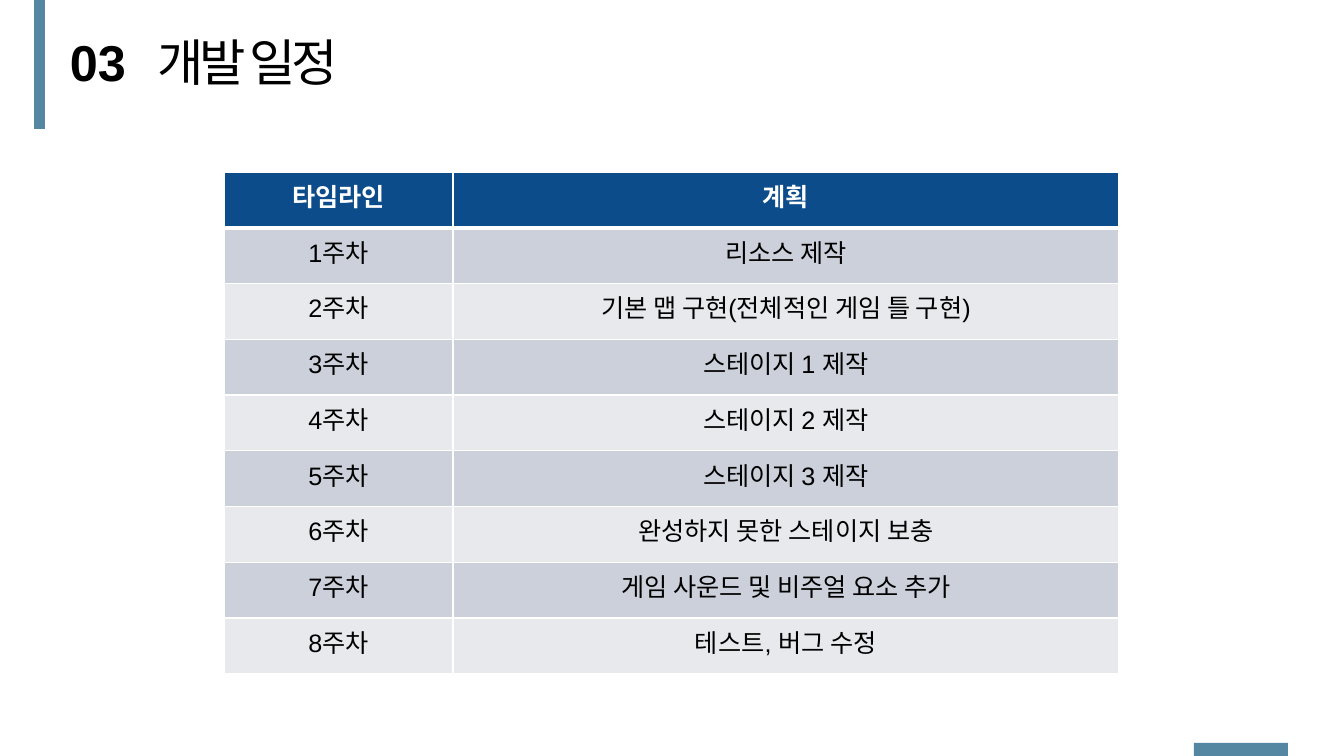
from pptx import Presentation
from pptx.dml.color import RGBColor
from pptx.enum.shapes import MSO_SHAPE
from pptx.enum.text import MSO_AUTO_SIZE, PP_ALIGN
from pptx.oxml.ns import qn
from pptx.util import Pt
from lxml import etree

RECT = MSO_SHAPE.RECTANGLE
CENTER = PP_ALIGN.CENTER
FIT = MSO_AUTO_SIZE.SHAPE_TO_FIT_TEXT
PX = 12192000 / 1344
COLORS = {"accent": "5587A2", "header": "0C4C8A", "odd": "CCD0DA",
          "even": "E7E9ED", "white": "FFFFFF", "black": "000000"}


def box(*lengths):
    return [round(v * PX) for v in lengths]


def add_run(p, text, color, **font):
    r = p.add_run()
    r.text = text
    r.font.color.rgb = RGBColor.from_string(COLORS[color])
    for name, value in {"name": "Arial", **font}.items():
        setattr(r.font, name, value)
    return r


prs = Presentation()
prs.slide_width, prs.slide_height = box(1344, 756)
s = prs.slides.add_slide(prs.slide_layouts[6])

# Accent bars
for bar in [(34, 0, 11, 129), (1194, 743, 94, 13)]:
    sp = s.shapes.add_shape(RECT, *box(*bar))
    sp.shadow.inherit = False
    sp.fill.solid()
    sp.fill.fore_color.rgb = RGBColor.from_string(COLORS["accent"])
    sp.line.fill.background()

# Section number and title
for text, left, width, bold, spacing in [("03", 60, 77, True, 0),
                                         ("개발 일정", 148, 217, False, -300)]:
    tf = s.shapes.add_textbox(*box(left, 26, width, 72)).text_frame
    tf.word_wrap = False
    tf.auto_size = FIT
    r = add_run(tf.paragraphs[0], text, "black", size=Pt(36), bold=bold)
    if spacing:
        r.font._element.set("spc", str(spacing))

# Schedule table
plans = ["리소스 제작", "기본 맵 구현(전체적인 게임 틀 구현)",
         *[f"스테이지 {n} 제작" for n in range(1, 4)],
         "완성하지 못한 스테이지 보충", "게임 사운드 및 비주얼 요소 추가",
         "테스트, 버그 수정"]
rows = [("타임라인", "계획")]
rows += [(f"{week}주차", plan) for week, plan in enumerate(plans, 1)]
table_height = 502
table = s.shapes.add_table(len(rows), 2, *box(224, 172, 895, table_height)).table
for column, width in zip(table.columns, box(229, 666)):
    column.width = width
for row in table.rows:
    row.height = round(table_height / len(rows) * PX)

for i, row in enumerate(rows):
    header = i == 0
    fill = "header" if header else "odd" if i % 2 else "even"
    for j, text in enumerate(row):
        cell = table.cell(i, j)
        p = cell.text_frame.paragraphs[0]
        p.alignment = CENTER
        add_run(p, text, "white" if header else "black", size=Pt(18), bold=header)

        # Borders come before the fill in the cell properties
        tc_pr = cell._tc.get_or_add_tcPr()
        for side in ("lnL", "lnR", "lnT", "lnB"):
            thick = (i, side) in [(0, "lnB"), (1, "lnT")]
            ln = etree.SubElement(tc_pr, qn(f"a:{side}"), w=str(Pt(3 if thick else 1)))
            solid = etree.SubElement(ln, qn("a:solidFill"))
            etree.SubElement(solid, qn("a:srgbClr"), val=COLORS["white"])
        cell.fill.solid()
        cell.fill.fore_color.rgb = RGBColor.from_string(COLORS[fill])

prs.save("out.pptx")
